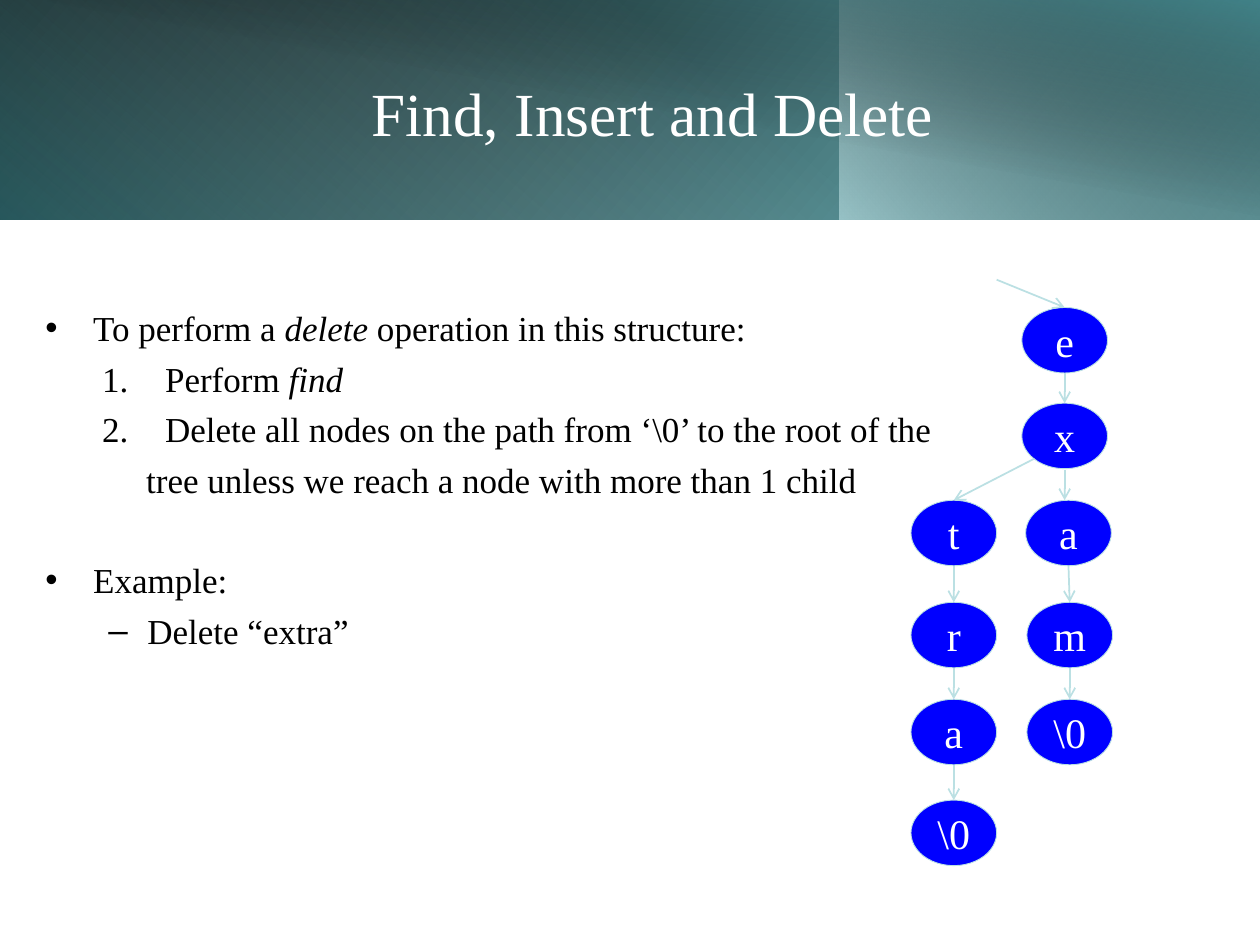
import lxml.etree
import pptx
import pptx.dml.color
import pptx.enum.shapes
import pptx.enum.text
import pptx.oxml
import pptx.oxml.ns
import pptx.util

Inches, Pt = pptx.util.Inches, pptx.util.Pt
SHAPE = pptx.enum.shapes.MSO_SHAPE
ALIGN = pptx.enum.text.PP_ALIGN
MIDDLE = pptx.enum.text.MSO_ANCHOR.MIDDLE
qn = pptx.oxml.ns.qn

COLORS = {"black": "000000", "white": "FFFFFF", "node": "0000FF",
          "pale": "BBE0E3", "aqua": "72BFC5", "teal": "3C8C93"}
NODE_W, NODE_H = 0.68, 0.52


def rgb(name):
    return pptx.dml.color.RGBColor.from_string(COLORS[name])


class TrieSlide:
    font = "Times New Roman"

    def __init__(self, prs):
        self.slide = prs.slides.add_slide(prs.slide_layouts[1])
        self.shapes = self.slide.shapes
        self.band_count = 0

    def style(self, paragraph, size, color):
        paragraph.font.name = self.font
        paragraph.font.size = Pt(size)
        paragraph.font.color.rgb = rgb(color)

    def band(self, left, width, height, angle, stops, flip=True, rotation=0):
        """Header rectangle; stops are (position, color, opacity) in percent."""
        band = self.shapes.add_shape(SHAPE.RECTANGLE, Inches(left), 0,
                                     Inches(width), Inches(height))
        band.shadow.inherit = False
        band.line.fill.background()
        band.rotation = rotation
        props = band._element.spPr
        if flip:
            props.find(qn("a:xfrm")).set("flipH", "1")
        stop_xml = "".join(
            f'<a:gs pos="{pos * 1000}"><a:srgbClr val="{COLORS[color]}">'
            f'<a:alpha val="{opacity * 1000}"/></a:srgbClr></a:gs>'
            for pos, color, opacity in stops)
        gradient = pptx.oxml.parse_xml(
            f'<a:gradFill {pptx.oxml.ns.nsdecls("a")} rotWithShape="1">'
            f'<a:gsLst>{stop_xml}</a:gsLst>'
            f'<a:lin ang="{angle * 60000}" scaled="0"/></a:gradFill>')
        props.find(qn("a:prstGeom")).addnext(gradient)
        # Bands lie behind the placeholders
        self.shapes._spTree.insert(2 + self.band_count, band._element)
        self.band_count += 1

    def place(self, holder, left, top, width, height):
        holder.left, holder.top = Inches(left), Inches(top)
        holder.width, holder.height = Inches(width), Inches(height)
        frame = holder.text_frame
        frame.word_wrap = True
        frame.auto_size = pptx.enum.text.MSO_AUTO_SIZE.NONE
        frame.vertical_anchor = MIDDLE
        return frame

    def title(self, text, *box):
        frame = self.place(self.shapes.title, *box)
        frame.text = text
        frame.paragraphs[0].alignment = ALIGN.CENTER
        self.style(frame.paragraphs[0], 35, "white")

    def body(self, items, *box):
        """Items are (level, margin, indent, bullet, space before, runs)."""
        frame = self.place(self.slide.placeholders[1], *box)
        frame.margin_bottom = Inches(0.36)
        for i, (level, margin, indent, bullet, space, runs) in enumerate(items):
            line = frame.add_paragraph() if i else frame.paragraphs[0]
            line.level = level
            line.space_before = Pt(space)
            props = line._p.get_or_add_pPr()
            props.set("marL", str(Inches(margin)))
            props.set("indent", str(Inches(indent)))
            if bullet == "number":
                lxml.etree.SubElement(props, qn("a:buAutoNum"), type="arabicPeriod")
            elif bullet:
                lxml.etree.SubElement(props, qn("a:buChar"), char=bullet)
            else:
                lxml.etree.SubElement(props, qn("a:buNone"))
            self.style(line, 20, "black")
            for text, italic in runs:
                run = line.add_run()
                run.text = text
                if italic:
                    run.font.italic = True

    def node(self, letter, left, top):
        node = self.shapes.add_shape(SHAPE.OVAL, Inches(left), Inches(top),
                                     Inches(NODE_W), Inches(NODE_H))
        node.shadow.inherit = False
        node.fill.solid()
        node.fill.fore_color.rgb = rgb("node")
        node.line.color.rgb = rgb("pale")
        node.line.width = Pt(0.5)
        frame = node.text_frame
        frame.word_wrap = False
        frame.vertical_anchor = MIDDLE
        frame.text = letter
        frame.paragraphs[0].alignment = ALIGN.CENTER
        self.style(frame.paragraphs[0], 24, "white")
        return node

    def arrow(self, start, end, target=None):
        arrow = self.shapes.add_connector(
            pptx.enum.shapes.MSO_CONNECTOR.STRAIGHT,
            *(Inches(value) for value in (*start, *end)))
        if target is not None:
            arrow.end_connect(target, 0)
        arrow.line.color.rgb = rgb("pale")
        arrow.line.width = Pt(1)
        lxml.etree.SubElement(arrow.line._get_or_add_ln(), qn("a:tailEnd"), type="arrow")
        lxml.etree.SubElement(arrow._element.spPr, qn("a:effectLst"))


def main():
    prs = pptx.Presentation()
    prs.slide_width, prs.slide_height = Inches(10), Inches(7.5)
    page = TrieSlide(prs)

    # Header
    page.band(0, 10, 1.74, 140, [(0, "black", 100), (100, "aqua", 100)])
    page.band(0, 6.66, 1.74, 230, [(20, "pale", 0), (100, "teal", 55)], rotation=180)
    page.band(6.66, 3.34, 1.74, 220, [(0, "pale", 66), (100, "black", 30)])
    page.band(0.38, 9.62, 1.75, 280, [(50, "black", 0), (99, "teal", 52)], flip=False)
    page.title("Find, Insert and Delete", 1.12, 0.32, 8.12, 1.13)

    # Steps and example
    page.body([
        (0, 0.38, -0.38, "•", 0, [("To perform a ", False), ("delete", True),
                                  (" operation in this structure:", False)]),
        (1, 0.95, -0.5, "number", 5, [("Perform ", False), ("find", True)]),
        (1, 0.95, -0.5, "number", 5,
         [("Delete all nodes on the path from ‘\\0’ to the root of the", False)]),
        (1, 0.8, 0, None, 5,
         [("tree unless we reach a node with more than 1 child", False)]),
        (0, 0.38, -0.38, "•", 33, [("Example:", False)]),
        (1, 0.81, -0.31, "–", 5, [("Delete “extra”", False)]),
    ], 0.26, 1.94, 7.98, 4.03)

    # Trie: chains of (letter, left, top), each node pointing to the next
    trunk = [("e", 8.11, 2.44), ("x", 8.11, 3.2)]
    right_branch = [("a", 8.14, 3.97), ("m", 8.15, 4.78), ("\\0", 8.15, 5.55)]
    left_branch = [("t", 7.23, 3.97), ("r", 7.23, 4.78),
                   ("a", 7.23, 5.55), ("\\0", 7.23, 6.35)]
    heads = []
    for chain in (trunk, right_branch, left_branch):
        nodes = [page.node(*entry) for entry in chain]
        heads.append(nodes[0])
        for (_, left, top), (_, _, next_top), child in zip(chain, chain[1:], nodes[1:]):
            center = left + NODE_W / 2
            page.arrow((center, top + NODE_H), (center, next_top), child)

    # Entry to the root and the fork below x
    page.arrow((7.91, 2.22), (8.45, 2.44), heads[0])
    page.arrow((8.45, 3.73), (8.45, 3.97))
    page.arrow((8.21, 3.64), (7.57, 3.97), heads[2])

    prs.save("out.pptx")


if __name__ == "__main__":
    main()
